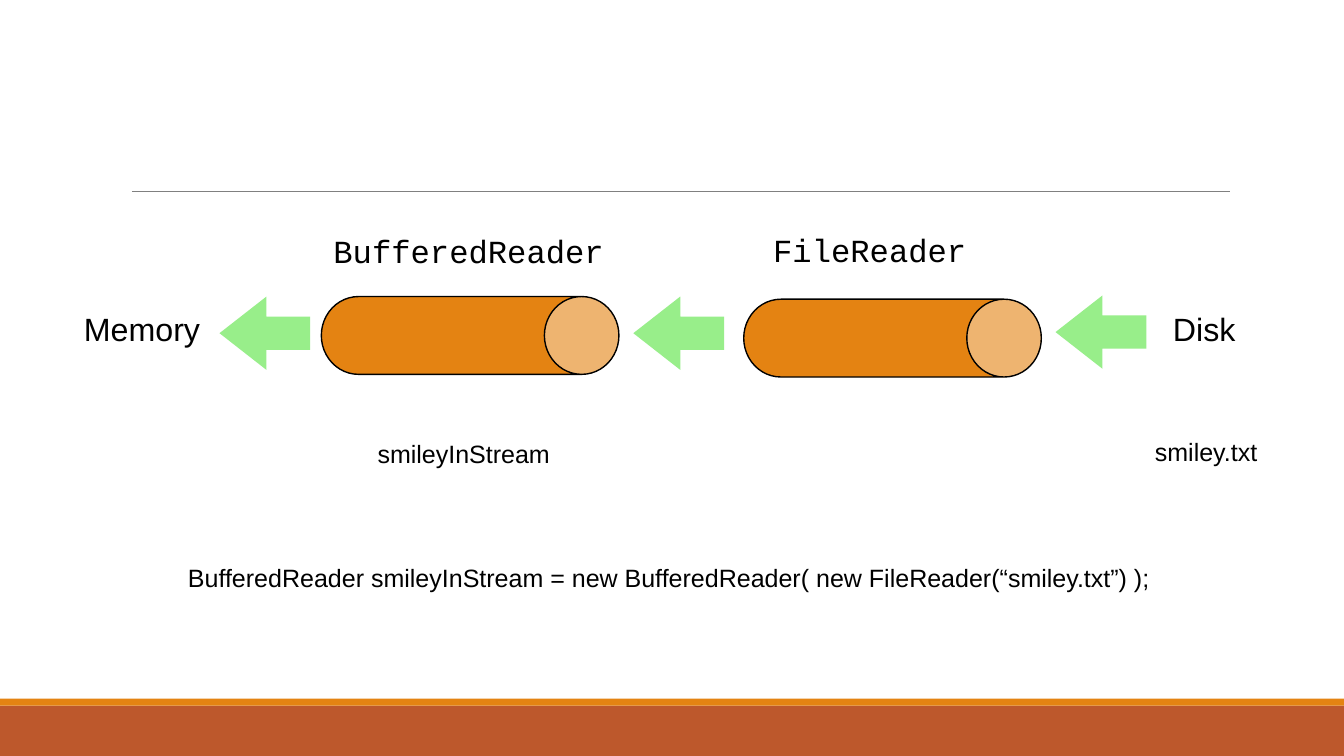
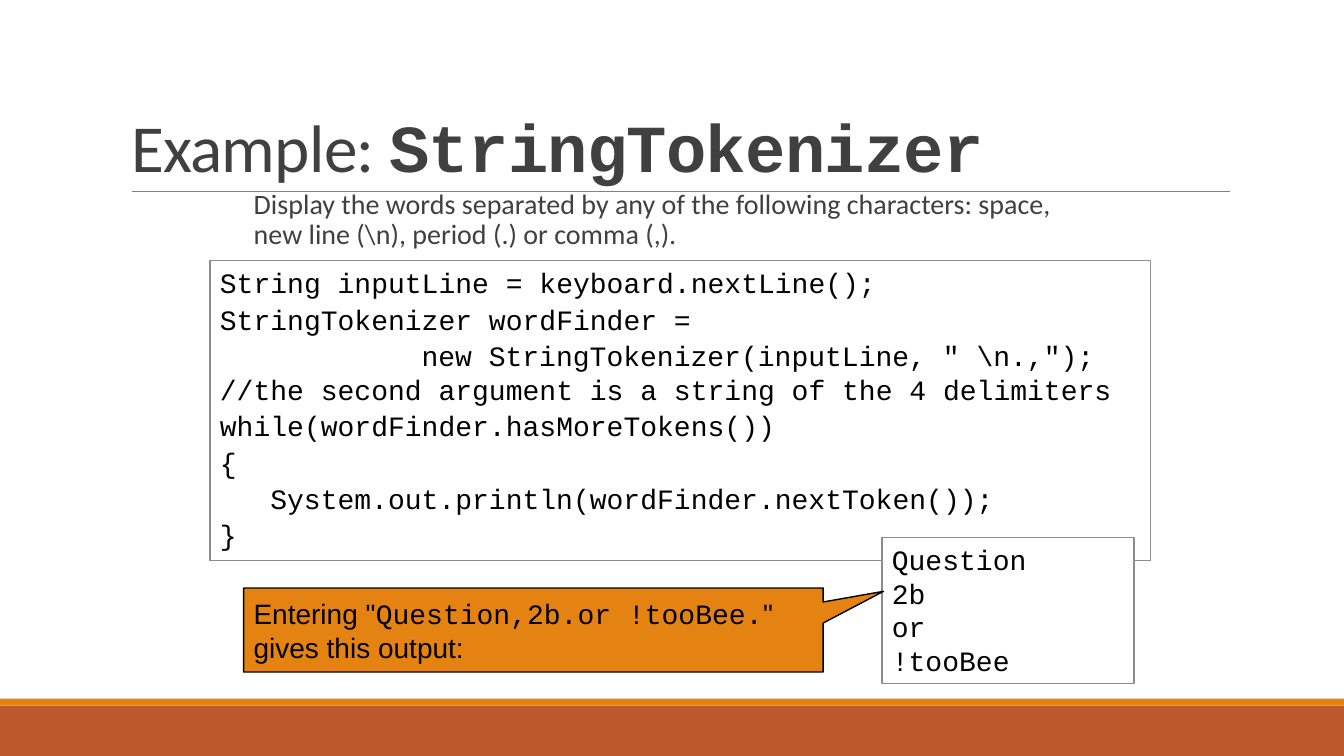
import pptx
import pptx.util
import pptx.dml.color
import pptx.enum.shapes
import pptx.enum.text
import lxml.etree
from dataclasses import dataclass

Pt = pptx.util.Pt
RGBColor = pptx.dml.color.RGBColor
SHAPE = pptx.enum.shapes.MSO_SHAPE
ANCHOR = pptx.enum.text.MSO_ANCHOR
ALIGN = pptx.enum.text.PP_ALIGN

WHITE = RGBColor(0xFF, 0xFF, 0xFF)
BLACK = RGBColor(0, 0, 0)
RUST = RGBColor(0xBD, 0x58, 0x2C)
ORANGE = RGBColor(0xE4, 0x83, 0x12)
GREEN = RGBColor(0x98, 0xEE, 0x8A)
CHARCOAL = RGBColor(0x40, 0x40, 0x40)
RULE_GRAY = RGBColor(0x80, 0x80, 0x80)
BORDER_GRAY = RGBColor(0x8C, 0x8C, 0x8C)

SANS = "Arial"
HEADING = "Calibri"
MONO = "Courier New"
SLIDE_WIDTH, SLIDE_HEIGHT = 960, 540
CODE_SIZE = 20
CHARACTER_WIDTH = 0.6 * CODE_SIZE


@dataclass
class Line:
    text: str
    indent: int = 0
    after: float = 2


def write(shape, lines, size=CODE_SIZE, font=SANS, color=BLACK, align=ALIGN.LEFT,
          anchor=ANCHOR.TOP, spacing=1.0, left=7.2, right=7.2, wrap=True, tracking=0):
    frame = shape.text_frame
    frame.word_wrap = wrap
    frame.vertical_anchor = anchor
    frame.margin_left, frame.margin_right = Pt(left), Pt(right)
    frame.margin_top = frame.margin_bottom = Pt(3.6)
    for number, line in enumerate(lines):
        paragraph = frame.paragraphs[0] if number == 0 else frame.add_paragraph()
        paragraph.alignment = align
        paragraph.line_spacing = spacing
        if isinstance(line, Line):
            paragraph.space_after = Pt(line.after)
            if line.indent:
                properties = paragraph._p.get_or_add_pPr()
                properties.set("marL", str(Pt(line.indent * CHARACTER_WIDTH)))
            line = line.text
        runs = [(line, font, False)] if isinstance(line, str) else line
        for words, face, bold in runs:
            run = paragraph.add_run()
            run.text = words
            run.font.name = face
            run.font.size = Pt(size)
            run.font.bold = bold
            run.font.color.rgb = color
            if tracking:
                run.font._element.set("spc", str(round(tracking * 100)))


def add_text(slide, box, lines, **style):
    write(slide.shapes.add_textbox(*map(Pt, box)), lines, **style)


def add_figure(slide, kind, box, fill, border=None, adjustments=()):
    figure = slide.shapes.add_shape(kind, *map(Pt, box))
    figure.shadow.inherit = False
    figure.fill.solid()
    figure.fill.fore_color.rgb = fill
    if border is None:
        figure.line.fill.background()
    else:
        figure.line.color.rgb = border
        figure.line.width = Pt(1)
    for number, value in enumerate(adjustments):
        figure.adjustments[number] = value
    return figure


def add_rule(slide, left, right, y):
    rule = slide.shapes.add_connector(
        pptx.enum.shapes.MSO_CONNECTOR.STRAIGHT, Pt(left), Pt(y), Pt(right), Pt(y))
    rule.line.color.rgb = RULE_GRAY
    rule.line.width = Pt(0.5)
    lxml.etree.SubElement(rule._element.spPr, pptx.oxml.ns.qn("a:effectLst"))


def start_slide(deck):
    slide = deck.slides.add_slide(deck.slide_layouts[6])
    slide.background.fill.solid()
    slide.background.fill.fore_color.rgb = WHITE
    add_figure(slide, SHAPE.RECTANGLE, (0, 504, SLIDE_WIDTH, 36), RUST)
    add_figure(slide, SHAPE.RECTANGLE, (0, 499, SLIDE_WIDTH, 5), ORANGE)
    add_rule(slide, 94.3, 878.8, 136.6)
    return slide


def add_pipe(slide, left, top):
    pipe = add_figure(slide, SHAPE.CAN, (left, top, 55.6, 212.6), ORANGE, BLACK, (0.958,))
    pipe.rotation = 90


def build_stream_slide(deck):
    slide = start_slide(deck)
    for left, top in ((308, 133.3), (609.7, 135.2)):
        add_pipe(slide, left, top)
    for left, top in ((156.8, 211.8), (452.4, 211.8), (754, 211)):
        add_figure(slide, SHAPE.LEFT_ARROW, (left, top, 64.8, 52.4), GREEN,
                   adjustments=(0.452, 0.64))
    for name, box in (("BufferedReader", (231.1, 167.2, 230, 31)),
                      ("FileReader", (545.2, 166.4, 265, 31))):
        add_text(slide, box, [name], size=23, font=MONO, spacing=0.8)
    for place, left in (("Disk", 811), ("Memory", 52.2)):
        add_text(slide, (left, 217.6, 98.6, 39.6), [place], size=23, spacing=0.8,
                 align=ALIGN.CENTER, anchor=ANCHOR.MIDDLE, wrap=False)
    statement = ("BufferedReader smileyInStream = new BufferedReader( "
                 "new FileReader(“smiley.txt”) );")
    for label, box in (("smileyInStream", (262.6, 313.6, 139.7, 24.5)),
                       ("smiley.txt", (817.9, 312.2, 88.6, 24.5)),
                       (statement, (127.2, 402.2, 712, 24.5))):
        add_text(slide, box, [label], size=17.9, spacing=0.8, wrap=False)


def build_tokenizer_slide(deck):
    slide = start_slide(deck)
    title = [("Example: ", HEADING, False), ("StringTokenizer", MONO, True)]
    add_text(slide, (86.6, 22.6, 792, 114.2), [title], size=48, color=CHARCOAL,
             anchor=ANCHOR.BOTTOM, spacing=0.85, tracking=-0.5)
    task = ("Display the words separated by any of the following characters: space, "
            "new line (\\n), period (.) or comma (,).")
    add_text(slide, (174.2, 132.2, 612, 365.8), [task], font=HEADING, color=CHARCOAL,
             spacing=0.9, right=0)

    code = add_figure(slide, SHAPE.RECTANGLE, (150, 186.2, 672, 214.2), WHITE, BORDER_GRAY)
    write(code, [
        Line("String inputLine = keyboard.nextLine();"),
        Line("StringTokenizer wordFinder ="),
        Line("new StringTokenizer(inputLine, \" \\n.,\");", indent=12, after=0),
        Line("//the second argument is a string of the 4 delimiters"),
        Line("while(wordFinder.hasMoreTokens())"),
        Line("{"),
        Line("System.out.println(wordFinder.nextToken());", indent=3),
        Line("}"),
    ], font=MONO)

    output = add_figure(slide, SHAPE.RECTANGLE, (630, 384, 180, 104.2), WHITE, BORDER_GRAY)
    write(output, ["Question", "2b", "or", "!tooBee"], font=MONO)

    entry = add_figure(slide, SHAPE.RECTANGULAR_CALLOUT, (174, 420, 414, 60), ORANGE, BLACK,
                       (0.604, -0.46))
    write(entry, [[("Entering \"", SANS, False),
                   ("Question,2b.or !tooBee.", MONO, False),
                   ("\" gives this output:", SANS, False)]],
          anchor=ANCHOR.MIDDLE)


def main():
    deck = pptx.Presentation()
    deck.slide_width, deck.slide_height = Pt(SLIDE_WIDTH), Pt(SLIDE_HEIGHT)
    build_stream_slide(deck)
    build_tokenizer_slide(deck)
    deck.save("out.pptx")


main()
